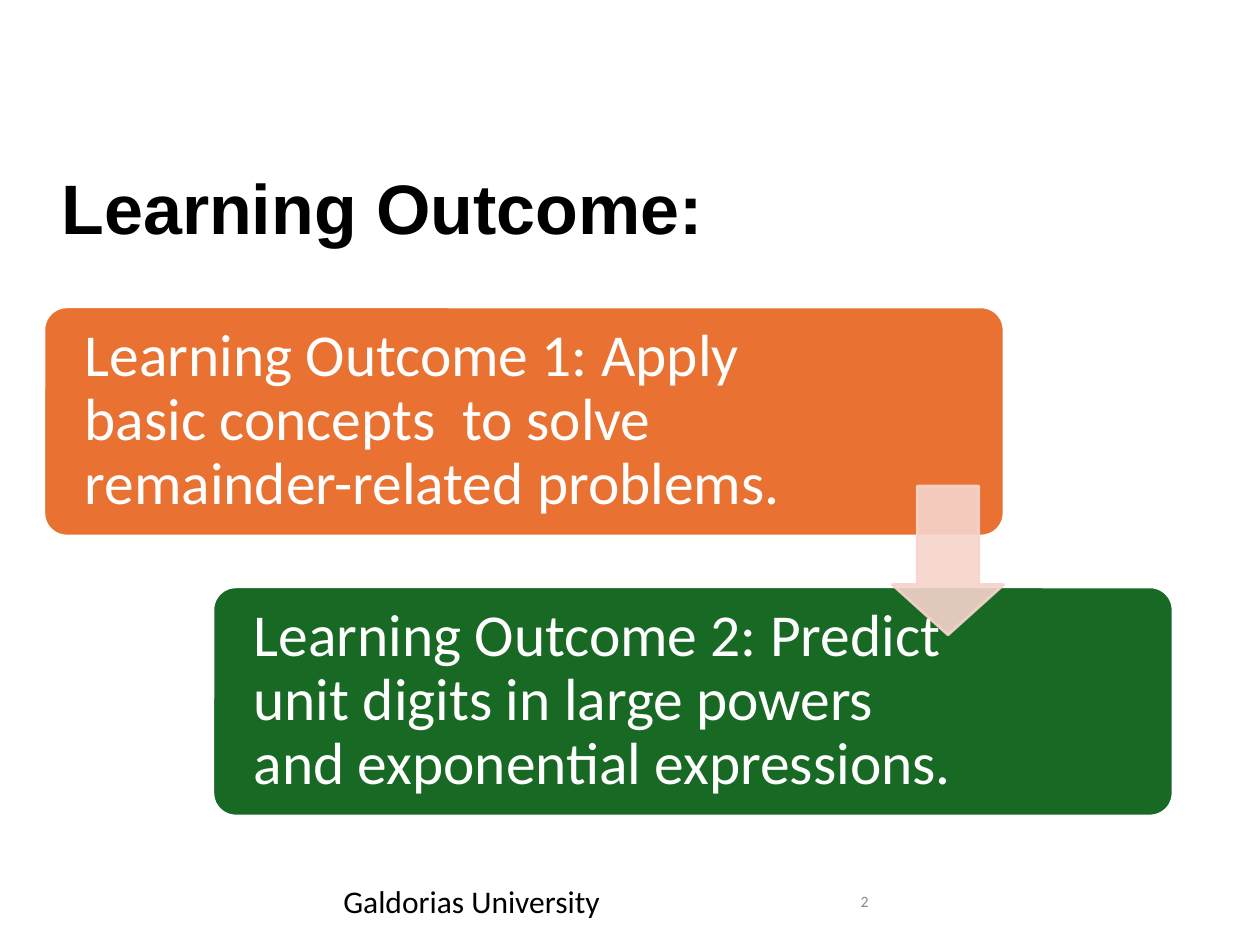
from lxml.etree import SubElement
from pptx import Presentation
from pptx.dml.color import RGBColor
from pptx.enum.shapes import MSO_SHAPE as Shape
from pptx.enum.text import MSO_ANCHOR as Anchor, PP_ALIGN as Align
from pptx.oxml.ns import qn
from pptx.util import Emu, Pt

TITLE = "Learning Outcome:"
OUTCOMES = [
    ("Learning Outcome 1: Apply basic concepts  to solve remainder-related problems.", "orange"),
    ("Learning Outcome 2: Predict unit digits in large powers and exponential expressions.", "green"),
]
FOOTER = "Galdorias University"
PAGE = "2"

COLORS = {"orange": "E97131", "green": "186923", "blush": "F6D4CC",
          "white": "FFFFFF", "black": "000000", "grey": "898989"}

# Lengths in px, 126 to the inch
SLIDE = (1260, 945)
TITLE_BOX = (49, 103, 1004, 217)
FOOTER_BOX = (312, 876, 319, 50)
PAGE_BOX = (668, 876, 213, 50)
CARD = (44, 307, 960, 229)
STEP = (169, 280)
CARD_INSETS = {"margin_left": 34, "margin_right": 202, "margin_top": 0, "margin_bottom": 0}
ARROW = (892, 486, 112, 149)


def px(length):
    return Emu(round(length * 914400 / 126))


def color(name):
    return RGBColor.from_string(COLORS[name])


def write(shape, text, ink, size, align=Align.LEFT, spacing=1.0, face="Calibri", bold=False):
    frame = shape.text_frame
    frame.word_wrap = True
    frame.vertical_anchor = Anchor.MIDDLE
    paragraph = frame.paragraphs[0]
    paragraph.alignment, paragraph.line_spacing = align, spacing
    run = paragraph.add_run()
    run.text = text
    for name, value in {"name": face, "size": Pt(size), "bold": bold}.items():
        setattr(run.font, name, value)
    run.font.color.rgb = color(ink)


def add_filled(slide, kind, box, adjustments, fill, outline):
    shape = slide.shapes.add_shape(kind, *map(px, box))
    shape.shadow.inherit = False
    for index, value in enumerate(adjustments):
        shape.adjustments[index] = value
    shape.fill.solid()
    shape.fill.fore_color.rgb = color(fill)
    shape.line.color.rgb = color(outline)
    shape.line.width = Pt(1.5)
    return shape


def set_opacity(shape, percent):
    """Apply one opacity to both fill and outline."""
    for rgb in shape.element.spPr.iter(qn("a:srgbClr")):
        SubElement(rgb, qn("a:alpha"), val=str(percent * 1000))


def main():
    deck = Presentation()
    deck.slide_width, deck.slide_height = map(px, SLIDE)
    slide = deck.slides.add_slide(deck.slide_layouts[5])

    title = slide.shapes.title
    for side, length in zip(("left", "top", "width", "height"), TITLE_BOX):
        setattr(title, side, px(length))
    write(title, TITLE, "black", 40, spacing=0.9, face="Arial", bold=True)

    for text, box, ink, size, align in (
        (FOOTER, FOOTER_BOX, "black", 18, Align.CENTER),
        (PAGE, PAGE_BOX, "grey", 9, Align.RIGHT),
    ):
        write(slide.shapes.add_textbox(*map(px, box)), text, ink, size, align)

    left, top, width, height = CARD
    for index, (text, fill) in enumerate(OUTCOMES):
        box = (left + index * STEP[0], top + index * STEP[1], width, height)
        card = add_filled(slide, Shape.ROUNDED_RECTANGLE, box, [0.1], fill, "white")
        for margin, length in CARD_INSETS.items():
            setattr(card.text_frame, margin, px(length))
        write(card, text, "white", 34, spacing=0.9)

    arrow = add_filled(slide, Shape.DOWN_ARROW, ARROW, [0.55, 0.45], "blush", "blush")
    set_opacity(arrow, 90)

    deck.save("out.pptx")


if __name__ == "__main__":
    main()
